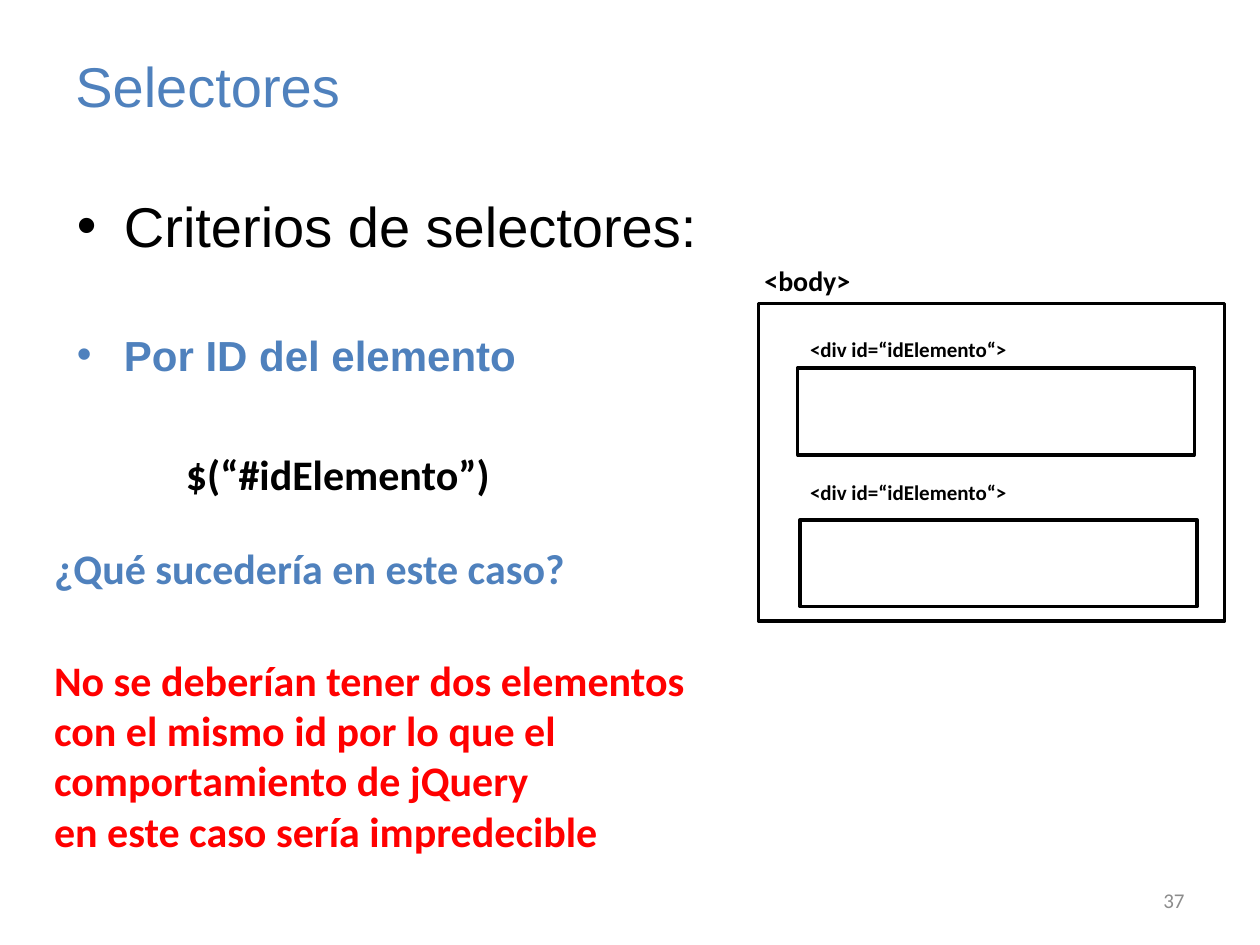
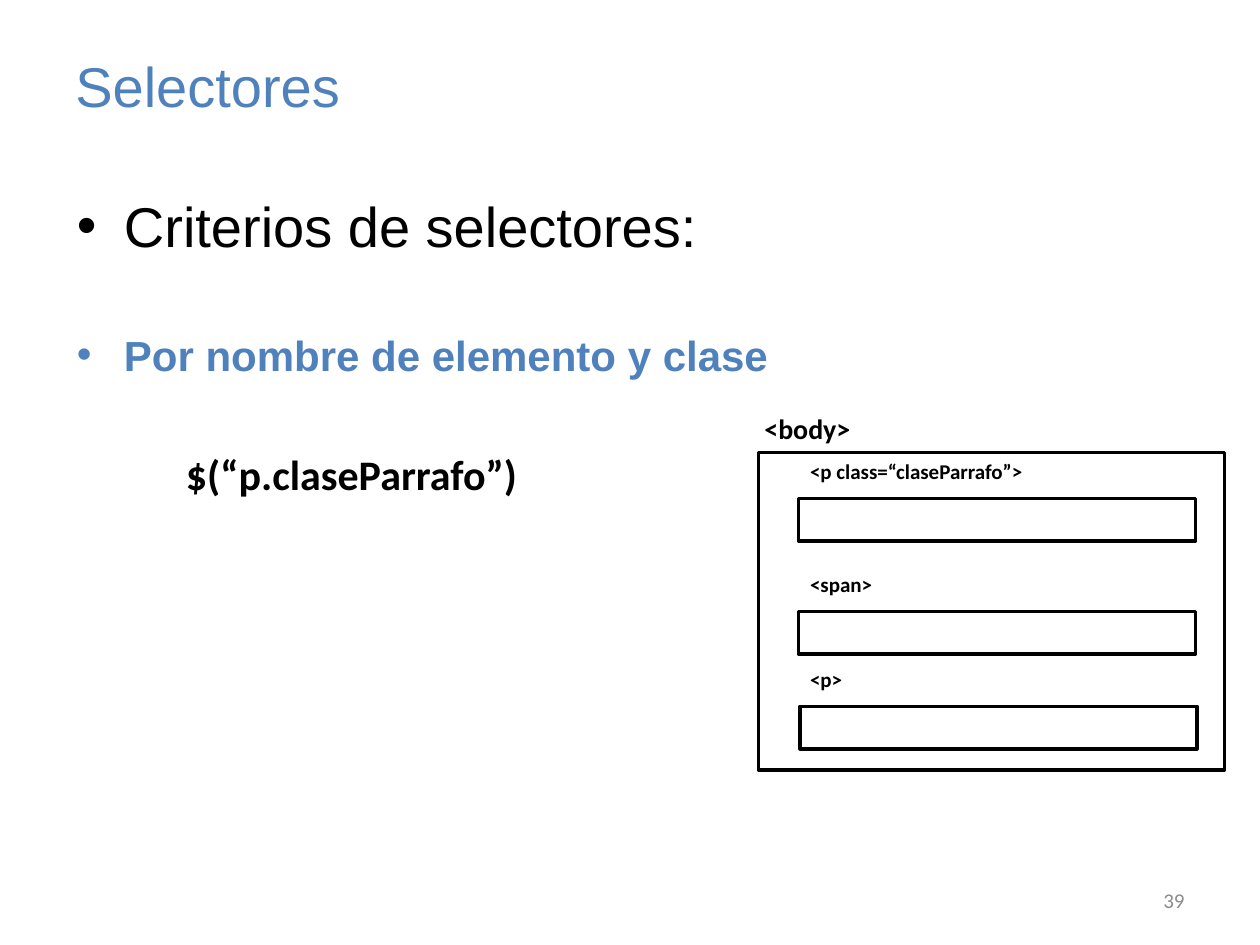
"""Build two slides on jQuery selectors."""
from lxml.etree import SubElement as Sub
from pptx import Presentation
from pptx.dml.color import RGBColor as Rgb
from pptx.enum.shapes import MSO_SHAPE as Kind
from pptx.enum.text import MSO_ANCHOR as Anchor, MSO_AUTO_SIZE as Auto, PP_ALIGN as Align
from pptx.oxml.ns import qn
from pptx.util import Cm, Pt

HUES = {"ink": "000000", "blue": "4F81BD", "red": "FF0000", "gray": "8C8C8C", "paper": "FFFFFF"}


def write(par, text, size=24, hue="ink", font="Calibri", bold=False,
          align=Align.LEFT, gap=0, dot=False):
    par.alignment = align
    par.space_before = Pt(gap)
    if dot:
        props = par._p.get_or_add_pPr()
        props.set("marL", str(Cm(0.95)))
        props.set("indent", str(Cm(-0.95)))
        Sub(props, qn("a:buFont")).set("typeface", "Arial")
        Sub(props, qn("a:buChar")).set("char", "•")
    run = par.add_run()
    run.text = text
    run.font.size = Pt(size)
    run.font.name = font
    run.font.bold = bold
    run.font.color.rgb = Rgb.from_string(HUES[hue])


class Deck:
    def __init__(self):
        self.prs = Presentation()
        self.prs.slide_width = Cm(25.4)
        self.prs.slide_height = Cm(19.05)
        self.slide = None

    def frame(self, x, y, w, h, wrap=True, anchor=Anchor.TOP):
        box = self.slide.shapes.add_textbox(Cm(x), Cm(y), Cm(w), Cm(h))
        frame = box.text_frame
        frame.word_wrap = wrap
        frame.auto_size = Auto.NONE if wrap else Auto.SHAPE_TO_FIT_TEXT
        frame.vertical_anchor = anchor
        return frame

    def note(self, lines, x, y, w, h, **style):
        frame = self.frame(x, y, w, h, wrap=False)
        for i, line in enumerate(lines.split("\n")):
            par = frame.add_paragraph() if i else frame.paragraphs[0]
            write(par, line, bold=True, **style)

    def rect(self, x, y, w, h):
        shape = self.slide.shapes.add_shape(Kind.RECTANGLE, Cm(x), Cm(y), Cm(w), Cm(h))
        shape.shadow.inherit = False
        shape.fill.solid()
        shape.fill.fore_color.rgb = Rgb.from_string(HUES["paper"])
        shape.line.color.rgb = Rgb.from_string(HUES["ink"])
        shape.line.width = Pt(2)

    def page(self, topic, code, width, number):
        self.slide = self.prs.slides.add_slide(self.prs.slide_layouts[6])
        title = self.frame(1.27, 0.53, 20, 2.36, anchor=Anchor.MIDDLE)
        write(title.paragraphs[0], "Selectores", size=32, hue="blue", font="Arial")
        list_ = self.frame(1.3, 3.73, 22.8, 5.2)
        write(list_.paragraphs[0], "Criterios de selectores:", size=32, font="Arial", dot=True)
        write(list_.add_paragraph(), topic, hue="blue", font="Arial", bold=True, gap=40.5, dot=True)
        foot = self.frame(18.2, 17.65, 5.93, 1.01, anchor=Anchor.MIDDLE)
        write(foot.paragraphs[0], number, size=12, hue="gray", align=Align.RIGHT)
        self.note(code, 3.5, 8.92, width, 1.27)

    def body(self, y):
        self.rect(15.29, y, 9.4, 6.4)
        self.note("<body>", 15.16, y - 0.94, 2.54, 0.94, size=16)

    def tag(self, text, width, y, high, drop=0.93, x=16.1):
        self.rect(x, y + drop, 8, high)
        self.note(text, 16.08, y, width, 0.76, size=12)


def main():
    deck = Deck()
    deck.page("Por ID del elemento", "$(“#idElemento”)", 7.49, "37")
    deck.body(6.12)
    deck.tag("<div id=“idElemento“>", 5.23, 6.65, 1.75, drop=0.77, x=16.08)
    deck.tag("<div id=“idElemento“>", 5.23, 9.55, 1.75, x=16.13)
    deck.note("¿Qué sucedería en este caso?", 0.84, 10.82, 12.83, 1.27, hue="blue")
    deck.note("No se deberían tener dos elementos\ncon el mismo id por lo que el\n"
              "comportamiento de jQuery\nen este caso sería impredecible",
              0.84, 13.06, 15.42, 4.37, hue="red")

    deck.page("Por nombre de elemento y clase", "$(“p.claseParrafo”)", 8.31, "39")
    deck.body(9.12)
    deck.tag("<p class=“claseParrafo”>", 5.69, 9.12, 0.86)
    deck.tag("<span>", 2.01, 11.4, 0.86)
    deck.tag("<p>", 1.27, 13.31, 0.86, x=16.13)
    deck.prs.save("out.pptx")


if __name__ == "__main__":
    main()
